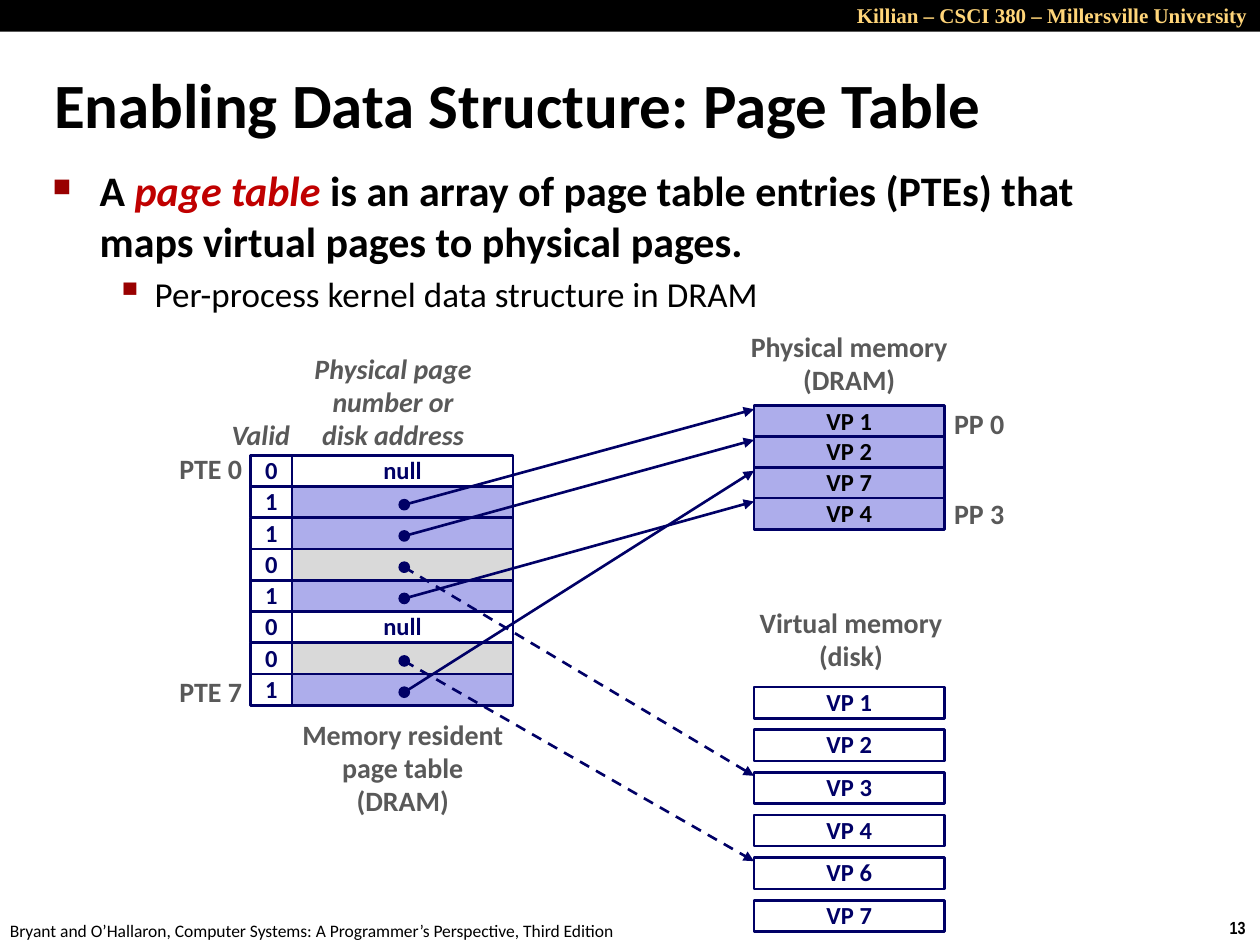
from lxml.etree import SubElement
from pptx import Presentation
from pptx.dml.color import RGBColor
from pptx.enum.dml import MSO_LINE
from pptx.enum.shapes import MSO_CONNECTOR, MSO_SHAPE
from pptx.enum.text import MSO_ANCHOR, PP_ALIGN
from pptx.oxml.ns import qn
from pptx.util import Cm, Pt

BLACK = RGBColor(0x00, 0x00, 0x00)
WHITE = RGBColor(0xFF, 0xFF, 0xFF)
NAVY = RGBColor(0x00, 0x00, 0x66)
LILAC = RGBColor(0xAD, 0xAD, 0xEB)
SILVER = RGBColor(0xD9, 0xD9, 0xD9)
GRAY = RGBColor(0x59, 0x59, 0x59)
RED = RGBColor(0xC0, 0x00, 0x00)
GOLD = RGBColor(0xFF, 0xD5, 0x79)
BULLET_RED = "990000"

# Grid of the diagram, in centimetres
ROW = 0.63
VALID_LEFT, VALID_WIDTH = 5.05, 0.84
ENTRY_LEFT, ENTRY_WIDTH = 5.89, 4.45
TABLE_TOP = 9.18
MEMORY_LEFT, MEMORY_WIDTH = 15.2, 3.84
DRAM_TOP, DRAM_PITCH = 8.18, 0.62
DISK_TOP, DISK_PITCH = 13.85, 0.86
DOT = 0.2

DRAM_PAGES = ["VP 1", "VP 2", "VP 7", "VP 4"]
DISK_PAGES = ["VP 1", "VP 2", "VP 3", "VP 4", "VP 6", "VP 7"]
# Valid bit and the virtual page each entry points to
ENTRIES = [("0", None), ("1", "VP 1"), ("1", "VP 2"), ("0", "VP 3"),
           ("1", "VP 4"), ("0", None), ("0", "VP 6"), ("1", "VP 7")]


def style(paragraph, size, color, bold=True, italic=False, name="Calibri"):
    font = paragraph.font
    font.name, font.size = name, Pt(size)
    font.bold, font.italic = bold, italic
    font.color.rgb = color


def add_text(page, lines, left, top, width, height, size=16, color=GRAY,
             align=PP_ALIGN.CENTER, anchor=MSO_ANCHOR.TOP, wrap=False,
             spacing=None, **font):
    box = page.shapes.add_textbox(Cm(left), Cm(top), Cm(width), Cm(height))
    frame = box.text_frame
    frame.word_wrap = wrap
    frame.vertical_anchor = anchor
    frame.text = "\n".join(lines)
    for paragraph in frame.paragraphs:
        paragraph.alignment = align
        paragraph.line_spacing = spacing
        style(paragraph, size, color, **font)


def add_label(page, lines, left, top, width, height, **options):
    add_text(page, lines, left, top, width, height, spacing=0.98, **options)


def add_solid(page, kind, left, top, width, height, fill, line, weight):
    shape = page.shapes.add_shape(kind, Cm(left), Cm(top), Cm(width), Cm(height))
    shape.shadow.inherit = False
    shape.fill.solid()
    shape.fill.fore_color.rgb = fill
    shape.line.color.rgb = line
    shape.line.width = Pt(weight)
    return shape


def add_cell(page, left, top, width, fill, text="", color=NAVY):
    cell = add_solid(page, MSO_SHAPE.RECTANGLE, left, top, width, ROW,
                     fill, NAVY, 1.5)
    if text:
        frame = cell.text_frame
        frame.word_wrap = False
        frame.vertical_anchor = MSO_ANCHOR.MIDDLE
        frame.text = text
        paragraph = frame.paragraphs[0]
        paragraph.alignment = PP_ALIGN.CENTER
        paragraph.line_spacing = 0.98
        style(paragraph, 14, color)


def add_arrow(page, start, end, dashed):
    arrow = page.shapes.add_connector(
        MSO_CONNECTOR.STRAIGHT, *[Cm(length) for length in (*start, *end)])
    arrow.line.color.rgb = NAVY
    arrow.line.width = Pt(1.5)
    if dashed:
        arrow.line.dash_style = MSO_LINE.DASH
    properties = arrow._element.spPr
    SubElement(properties.find(qn("a:ln")), qn("a:tailEnd"), type="triangle")
    SubElement(properties, qn("a:effectLst"))


def set_bullet(paragraph, char, percent, margin, hanging):
    properties = paragraph._p.get_or_add_pPr()
    properties.set("marL", str(Cm(margin)))
    properties.set("indent", str(-Cm(hanging)))
    color = SubElement(properties, qn("a:buClr"))
    SubElement(color, qn("a:srgbClr"), val=BULLET_RED)
    SubElement(properties, qn("a:buSzPct"), val=str(percent * 1000))
    SubElement(properties, qn("a:buChar"), char=char)


def add_frame(page):
    add_text(page, ["13"], 24.54, 18.36, 0.86, 0.69, size=10, color=BLACK,
             align=PP_ALIGN.LEFT, name="Arial Narrow")
    add_text(page, ["Bryant and O’Hallaron, Computer Systems: "
                    "A Programmer’s Perspective, Third Edition"],
             -0.05, 18.42, 12.9, 0.69, size=10, color=BLACK,
             align=PP_ALIGN.LEFT, bold=False)
    band = add_solid(page, MSO_SHAPE.RECTANGLE, 0, 0, 25.4, 0.64, BLACK, BLACK, 1)
    band.line.fill.background()
    add_text(page, ["Killian – CSCI 380 – Millersville University"],
             16.99, -0.08, 8.41, 0.76, size=12, color=GOLD, wrap=True,
             align=PP_ALIGN.RIGHT, name="Times New Roman")
    add_text(page, ["Enabling Data Structure: Page Table"],
             0.84, 0.99, 23.01, 2.18, size=36, color=BLACK, wrap=True,
             align=PP_ALIGN.LEFT, anchor=MSO_ANCHOR.MIDDLE)


def add_body(page):
    box = page.shapes.add_textbox(Cm(0.81), Cm(3.2), Cm(23.09), Cm(3.58))
    frame = box.text_frame
    frame.word_wrap = True
    point = frame.paragraphs[0]
    for text in ("A ", "page table ", "is an array of page table entries (PTEs) "
                 "that maps virtual pages to physical pages."):
        point.add_run().text = text
    style(point, 24, BLACK)
    term = point.runs[1].font
    term.italic = True
    term.color.rgb = RED
    point.space_before = Pt(4.8)
    set_bullet(point, "■", 60, 0.95, 0.95)

    detail = frame.add_paragraph()
    detail.text = "Per-process kernel data structure in DRAM"
    detail.level = 1
    style(detail, 20, BLACK, bold=False)
    detail.space_before = Pt(4)
    set_bullet(detail, "▪", 110, 2.06, 0.79)


def add_page_table(page):
    for index, (valid, target) in enumerate(ENTRIES):
        top = TABLE_TOP + index * ROW
        fill = WHITE if target is None else LILAC if valid == "1" else SILVER
        add_cell(page, VALID_LEFT, top, VALID_WIDTH, WHITE, valid)
        add_cell(page, ENTRY_LEFT, top, ENTRY_WIDTH, fill,
                 "null" if target is None else "")


def add_memory(page, names, first_top, pitch, fill, color):
    for index, name in enumerate(names):
        add_cell(page, MEMORY_LEFT, first_top + index * pitch, MEMORY_WIDTH,
                 fill, name, color)


def add_pointers(page):
    x = 8.15
    for index, (valid, target) in enumerate(ENTRIES):
        if target is None:
            continue
        y = TABLE_TOP + (index + 0.5) * ROW + 0.05
        if valid == "1":
            end = DRAM_TOP + DRAM_PAGES.index(target) * DRAM_PITCH
        else:
            end = DISK_TOP + DISK_PAGES.index(target) * DISK_PITCH
        add_solid(page, MSO_SHAPE.OVAL, x - DOT / 2, y - DOT / 2, DOT, DOT,
                  NAVY, NAVY, 1)
        add_arrow(page, (x, y), (MEMORY_LEFT, end + 0.07), valid == "0")


def add_labels(page):
    add_label(page, ["Memory resident", "page table", "(DRAM)"],
              5.77, 14.38, 4.7, 2.26)
    add_label(page, ["Physical memory", "(DRAM)"], 14.86, 6.55, 4.52, 1.6)
    add_label(page, ["Virtual memory", "(disk)"], 15.01, 12.12, 4.29, 1.6)
    add_label(page, ["Valid"], 4.42, 8.33, 1.9, 0.94, align=PP_ALIGN.LEFT,
              wrap=True, italic=True)
    add_label(page, ["Physical page", "number or", "disk address"],
              6.07, 6.99, 3.71, 2.26, anchor=MSO_ANCHOR.MIDDLE, italic=True)
    for text, top in (("PTE 0", 8.99), ("PTE 7", 13.49)):
        add_label(page, [text], 3.35, top, 1.78, 0.94, align=PP_ALIGN.RIGHT,
                  anchor=MSO_ANCHOR.MIDDLE)
    for text, top in (("PP 0", 8.08), ("PP 3", 9.91)):
        add_label(page, [text], 18.98, top, 1.52, 0.94,
                  anchor=MSO_ANCHOR.MIDDLE)


def main():
    deck = Presentation()
    deck.slide_width, deck.slide_height = Cm(25.4), Cm(19.05)
    page = deck.slides.add_slide(deck.slide_layouts[6])
    # Header, footer, title and bullets
    add_frame(page)
    add_body(page)
    # Diagram: tables first, pointers on top
    add_page_table(page)
    add_memory(page, DRAM_PAGES, DRAM_TOP, DRAM_PITCH, LILAC, BLACK)
    add_memory(page, DISK_PAGES, DISK_TOP, DISK_PITCH, WHITE, NAVY)
    add_pointers(page)
    add_labels(page)
    deck.save("out.pptx")


if __name__ == "__main__":
    main()
